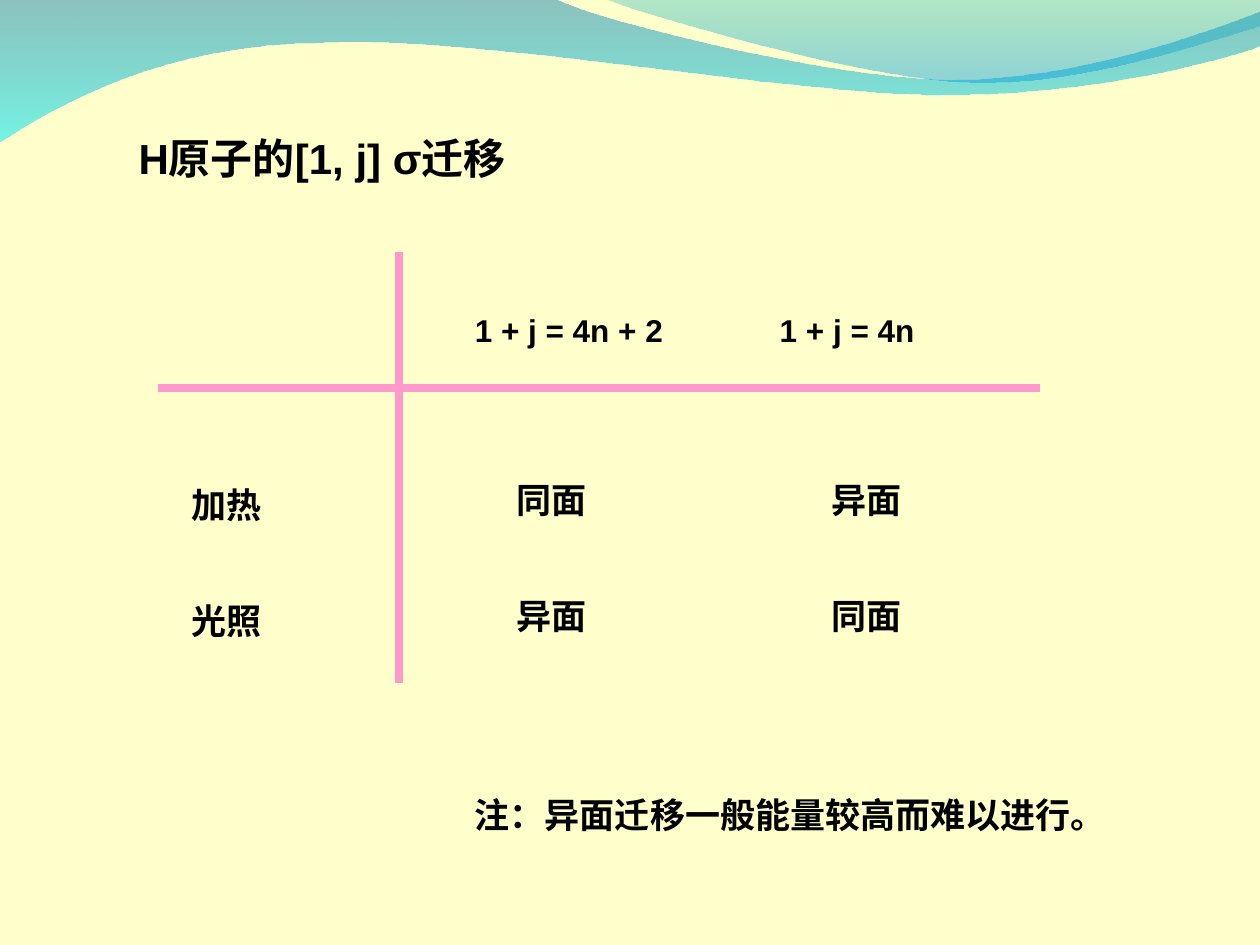
import pptx
import pptx.util
import pptx.dml.color
import pptx.enum.shapes
import pptx.enum.text
import pptx.oxml.ns
from lxml import etree

WIDTH, HEIGHT = 10, 7.5
FONT = "Arial"
INK, PINK, CREAM = "000000", "FF99CC", "FFFFCC"


def color(value):
    """Return an RGB colour from a hex string."""
    return pptx.dml.color.RGBColor.from_string(value)


def inches(*values):
    """Convert lengths in inches to a list of EMU values."""
    return [pptx.util.Inches(v) for v in values]


def write(sp, text, size=20, wrap=False):
    """Write one bold left-aligned line at the top of a shape."""
    tf = sp.text_frame
    tf.word_wrap = wrap
    tf.auto_size = pptx.enum.text.MSO_AUTO_SIZE.NONE
    tf.vertical_anchor = pptx.enum.text.MSO_ANCHOR.TOP
    p = tf.paragraphs[0]
    p.alignment = pptx.enum.text.PP_ALIGN.LEFT
    r = p.add_run()
    r.text = text
    r.font.name, r.font.size, r.font.bold = FONT, pptx.util.Pt(size), True
    r.font.color.rgb = color(INK)


def add_label(s, text, x, y, w=0.75, h=0.44, **fmt):
    """Add a text box holding one label."""
    write(s.shapes.add_textbox(*inches(x, y, w, h)), text, **fmt)


def add_rule(s, x1, y1, x2, y2):
    """Add a thick pink line of the grid."""
    line = s.shapes.add_connector(
        pptx.enum.shapes.MSO_CONNECTOR.STRAIGHT, *inches(x1, y1, x2, y2))
    line.line.color.rgb = color(PINK)
    line.line.width = pptx.util.Pt(4.5)
    etree.SubElement(line._element.spPr, pptx.oxml.ns.qn("a:effectLst"))


def bend(sp, segments):
    """Turn each run of three line points into one cubic Bezier curve."""
    lines = iter(list(sp._element.spPr.iter(pptx.oxml.ns.qn("a:lnTo"))))
    for segment in segments:
        first, *others = [next(lines) for _ in segment]
        if others:
            first.tag = pptx.oxml.ns.qn("a:cubicBezTo")
            for line in others:
                first.append(line[0])
                line.getparent().remove(line)


def add_wave(s, start, segments, stops):
    """Add a wave of lines and curves with a translucent vertical gradient."""
    builder = s.shapes.build_freeform(*inches(*start), scale=1.0)
    points = [inches(*p) for segment in segments for p in segment]
    builder.add_line_segments(points, close=True)
    sp = builder.convert_to_shape()
    sp.shadow.inherit = False
    sp.line.fill.background()
    sp.fill.gradient()
    sp.fill.gradient_angle = 270
    for stop, position, (value, _) in zip(sp.fill.gradient_stops, (0, 1), stops):
        stop.position = position
        stop.color.rgb = color(value)
    tags = sp._element.spPr.iter(pptx.oxml.ns.qn("a:srgbClr"))
    for tag, (_, opacity) in zip(list(tags), stops):
        alpha = etree.SubElement(tag, pptx.oxml.ns.qn("a:alpha"))
        alpha.set("val", str(opacity * 1000))
    bend(sp, segments)


def add_waves(s):
    """Add the two overlapping waves along the top edge."""
    add_wave(s, (0, -0.01), [
        [(4.4, -0.01)],
        [(4.76, 0.17), (6.64, 0.63), (7.58, 0.63)],
        [(8.53, 0.63), (9.58, 0.26), (10, 0.09)],
        [(10.01, 0.36)],
        [(9.83, 0.44), (8.7, 0.76), (7.46, 0.75)],
        [(6.22, 0.75), (3.82, 0.28), (2.57, 0.34)],
        [(1.29, 0.35), (0.46, 0.83), (-0.01, 1.13)],
    ], [("0079AF", 45), ("00EBF8", 55)])
    add_wave(s, (4.79, -0.01), [
        [(5.09, 0.11), (6.82, 0.62), (7.69, 0.65)],
        [(8.56, 0.69), (9.61, 0.32), (10, 0.21)],
        [(10, 0)],
    ], [("00ADB6", 30), ("009BE5", 45)])


def add_title(s, text):
    """Place and format the title placeholder."""
    sp = s.shapes.title
    sp.left, sp.top, sp.width, sp.height = inches(1, 1, 7.83, 0.5)
    write(sp, text, size=24, wrap=True)


def add_grid(s):
    """Add the crossed rules with their headings and entries."""
    add_rule(s, 1.25, 3.08, 8.25, 3.08)
    add_rule(s, 3.17, 2, 3.17, 5.42)
    add_label(s, "1 + j = 4n + 2", 3.67, 2.42, w=1.69, h=0.4, size=18)
    add_label(s, "1 + j = 4n", 6.09, 2.42, w=1.27, h=0.4, size=18)
    rows = [("加热", "同面", "异面"), ("光照", "异面", "同面")]
    for i, (name, *entries) in enumerate(rows):
        y = 3.75 + 0.92 * i
        add_label(s, name, 1.42, y + 0.04)
        for j, entry in enumerate(entries):
            add_label(s, entry, 4 + 2.5 * j, y)


def main():
    """Build and save the slide."""
    prs = pptx.Presentation()
    prs.slide_width, prs.slide_height = inches(WIDTH, HEIGHT)
    s = prs.slides.add_slide(prs.slide_layouts[5])
    s.background.fill.solid()
    s.background.fill.fore_color.rgb = color(CREAM)
    add_waves(s)
    add_title(s, "H原子的[1, j] σ迁移")
    add_grid(s)
    add_label(s, "注：异面迁移一般能量较高而难以进行。", 3.67, 6.25, w=5.67, wrap=True)
    prs.save("out.pptx")


if __name__ == "__main__":
    main()
